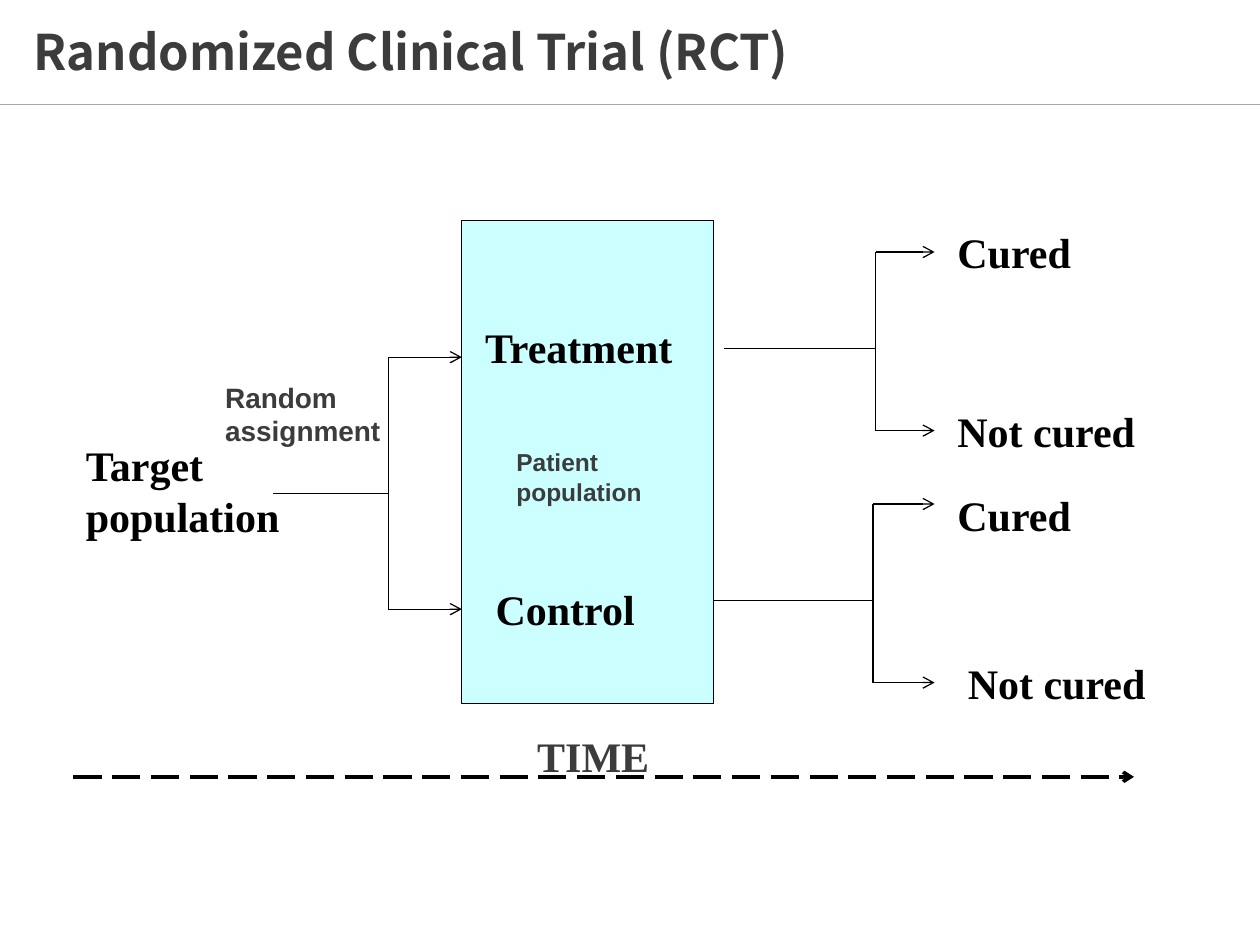
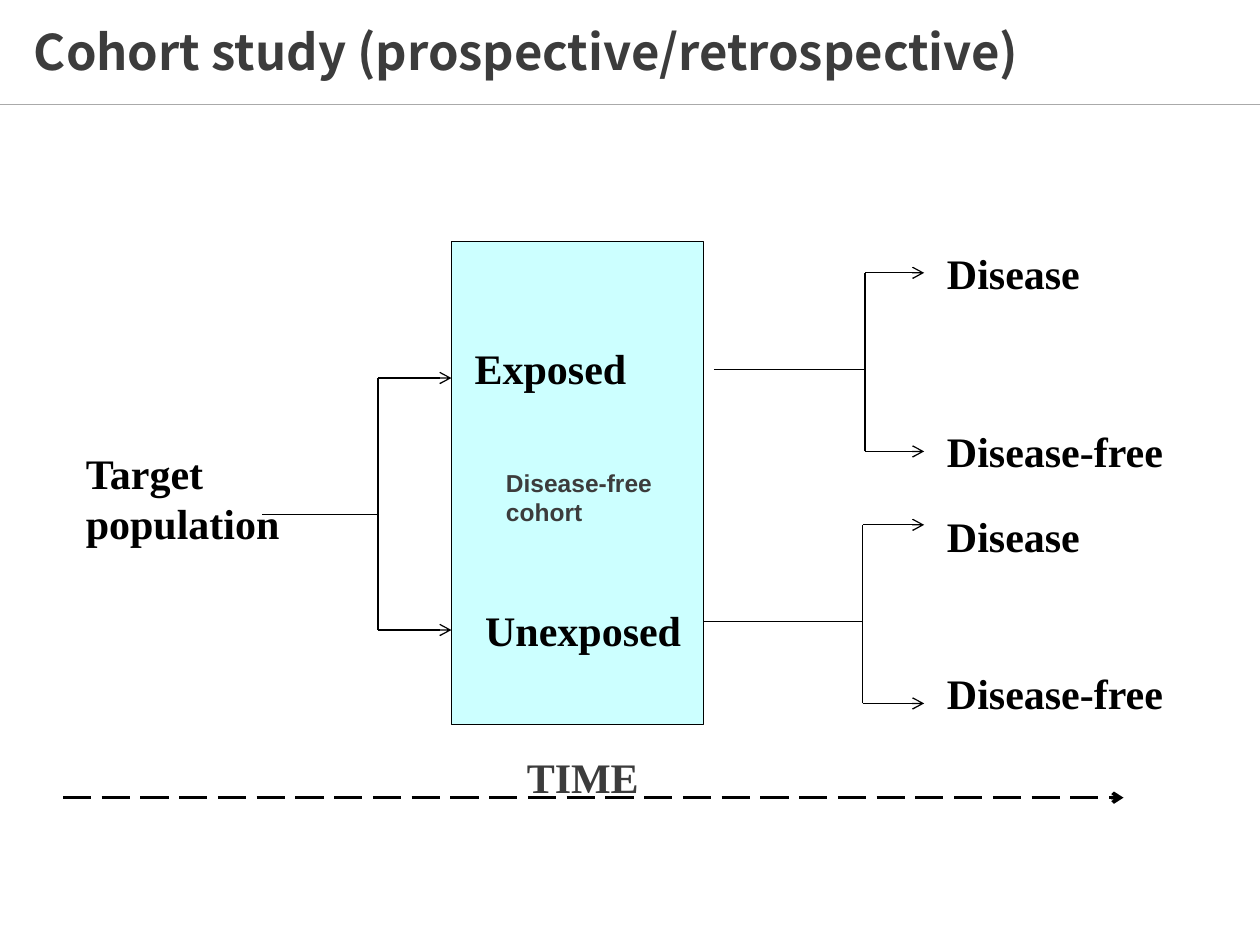
from dataclasses import dataclass

from lxml import etree
from pptx import Presentation
from pptx.dml.color import RGBColor
from pptx.enum.dml import MSO_LINE
from pptx.enum.shapes import MSO_CONNECTOR, MSO_SHAPE
from pptx.enum.text import MSO_ANCHOR, MSO_AUTO_SIZE, PP_ALIGN
from pptx.oxml.ns import qn
from pptx.util import Cm, Pt


@dataclass(frozen=True)
class Theme:
    ink: RGBColor = RGBColor.from_string("000000")
    grey: RGBColor = RGBColor.from_string("3C3C3C")
    rule: RGBColor = RGBColor.from_string("AAAAAA")
    box: RGBColor = RGBColor.from_string("CCFFFF")
    title_font: str = "Noto Sans CJK SC"
    label_font: str = "Times New Roman"
    note_font: str = "Arial"
    title_size: int = 28
    label_size: int = 24
    assignment_size: int = 16
    group_size: int = 14
    thin: float = 0.75
    thick: float = 2


theme = Theme()


def add_text(slide, text, left, top, width, height=1.14, font=theme.label_font,
             size=theme.label_size, color=theme.ink, bottom_inset=0):
    box = slide.shapes.add_textbox(Cm(left), Cm(top), Cm(width), Cm(height))
    frame = box.text_frame
    frame.word_wrap = True
    frame.auto_size = MSO_AUTO_SIZE.SHAPE_TO_FIT_TEXT
    frame.margin_bottom = Cm(bottom_inset)
    frame.text = text
    run_font = frame.paragraphs[0].runs[0].font
    run_font.name = font
    run_font.size = Pt(size)
    run_font.bold = True
    run_font.color.rgb = color


def add_line(slide, start, end, color=theme.ink, width=theme.thin, dash=None, arrow=False):
    connector = slide.shapes.add_connector(
        MSO_CONNECTOR.STRAIGHT, *(Cm(value) for value in (*start, *end)))
    connector.line.color.rgb = color
    connector.line.width = Pt(width)
    if dash:
        connector.line.dash_style = dash
    properties = connector.element.spPr
    if arrow:
        etree.SubElement(properties.find(qn("a:ln")), qn("a:tailEnd"), type="arrow")
    etree.SubElement(properties, qn("a:effectLst"))
    return connector


studies = [
    {
        "title": "Randomized Clinical Trial (RCT)",
        "shift": (0, 0),
        "target_top": 8.74,
        "arms": ("Treatment", "Control"),
        "group": "Patient population",
        "outcomes": ("Cured", "Not cured"),
        "last_outcome": (19.26, 13.12),
        "assignment": "Random assignment",
    },
    {
        "title": "Cohort study (prospective/retrospective)",
        "shift": (-0.21, 0.42),
        "target_top": 8.89,
        "arms": ("Exposed", "Unexposed"),
        "group": "Disease-free cohort",
        "outcomes": ("Disease", "Disease-free"),
        "last_outcome": (19.05, 12.91),
        "assignment": None,
    },
]

branches = [
    {"start": 5.5, "stem": 7.83, "tip": 9.31, "middle": 9.95, "ends": (7.2, 12.28)},
    {"start": 14.6, "stem": 17.65, "tip": 18.84, "middle": 7.03, "ends": (5.08, 8.68)},
    {"start": 14.39, "stem": 17.6, "tip": 18.84, "middle": 12.11, "ends": (10.16, 13.76)},
]
arm_places = [(9.53, 6.35), (9.74, 11.64)]
outcome_places = [(19.05, 4.45), (19.05, 8.04), (19.05, 9.74)]

presentation = Presentation()
presentation.slide_width = Cm(25.4)
presentation.slide_height = Cm(19.05)
layout = presentation.slide_layouts[5]
layout_title = layout.placeholders[0]
layout_title.left, layout_title.top = Cm(0.43), Cm(0.41)
layout_title.width, layout_title.height = Cm(21.39), Cm(1.4)
slides = [presentation.slides.add_slide(layout) for study in studies]

title_rule = add_line(slides[0], (0, 2.11), (25.4, 2.11), color=theme.rule)
layout.shapes.element.append(title_rule.element)

for slide, study in zip(slides, studies):
    shift_x, shift_y = study["shift"]

    title_frame = slide.shapes.title.text_frame
    title_frame.text = study["title"]
    title_frame.auto_size = MSO_AUTO_SIZE.NONE
    title_frame.vertical_anchor = MSO_ANCHOR.MIDDLE
    paragraph = title_frame.paragraphs[0]
    paragraph.alignment = PP_ALIGN.LEFT
    paragraph.line_spacing = 0.9
    title_font = paragraph.runs[0].font
    title_font.name = theme.title_font
    title_font.size = Pt(theme.title_size)
    title_font.bold = True
    title_font.color.rgb = theme.grey

    group_box = slide.shapes.add_shape(
        MSO_SHAPE.RECTANGLE, Cm(9.31 + shift_x), Cm(4.45 + shift_y), Cm(5.08), Cm(9.74))
    group_box.shadow.inherit = False
    group_box.fill.solid()
    group_box.fill.fore_color.rgb = theme.box
    group_box.line.color.rgb = theme.ink
    group_box.line.width = Pt(theme.thin)

    for branch in branches:
        start, stem, tip = (branch[key] + shift_x for key in ("start", "stem", "tip"))
        middle = branch["middle"] + shift_y
        upper, lower = (end + shift_y for end in branch["ends"])
        add_line(slide, (start, middle), (stem, middle))
        add_line(slide, (stem, lower), (stem, upper))
        for end in (upper, lower):
            add_line(slide, (stem, end), (tip, end), arrow=True)

    add_text(slide, "Target population", 1.48, study["target_top"], 4.57, 2.18)
    for arm, (left, top) in zip(study["arms"], arm_places):
        add_text(slide, arm, left + shift_x, top + shift_y, 4.87)
    places = [*outcome_places, study["last_outcome"]]
    for outcome, (left, top) in zip(study["outcomes"] * 2, places):
        add_text(slide, outcome, left + shift_x, top + shift_y, 4.87)

    time_y = 15.66 + shift_y
    add_line(slide, (1.48 + shift_x, time_y), (22.86 + shift_x, time_y),
             width=theme.thick, dash=MSO_LINE.LONG_DASH, arrow=True)
    add_text(slide, "TIME", 10.58 + shift_x, 14.61 + shift_y, 5.29, color=theme.grey)

    if study["assignment"]:
        add_text(slide, study["assignment"], 4.29, 7.54, 4.23, 1.63, font=theme.note_font,
                 size=theme.assignment_size, color=theme.grey, bottom_inset=0.13)
    add_text(slide, study["group"], 10.16 + shift_x, 8.89 + shift_y, 3.81, 1.45,
             font=theme.note_font, size=theme.group_size, color=theme.grey, bottom_inset=0.13)

presentation.save("out.pptx")
